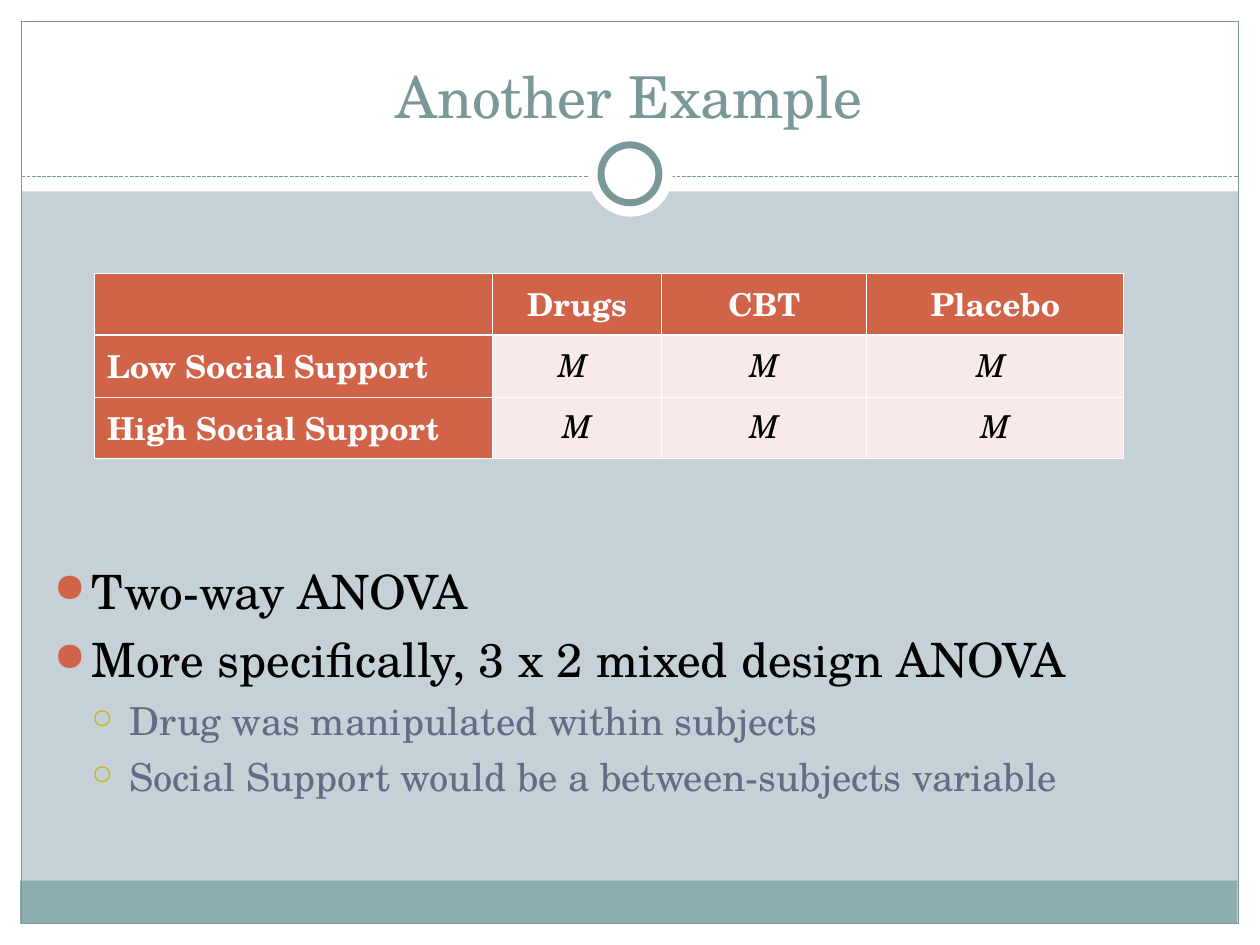
import pptx
import pptx.dml.color
import pptx.enum.dml
import pptx.enum.shapes
import pptx.enum.text
import pptx.oxml
import pptx.oxml.ns
import pptx.util
from pptx.util import Inches

FONT = "TeX Gyre Schola"
WHITE, BLACK, SLATE, TEAL = "FFFFFF", "000000", "7B9899", "8CADAE"
RUST, BLUSH, GOLD, VIOLET = "D16349", "F7EAE9", "CCB400", "646B86"
BACKDROP = "C5D1D7"
CENTER = pptx.enum.text.PP_ALIGN.CENTER
LEFT = pptx.enum.text.PP_ALIGN.LEFT
SHAPES = pptx.enum.shapes.MSO_SHAPE


def color(value):
    return pptx.dml.color.RGBColor.from_string(value)


def paint(fill, value):
    fill.solid()
    fill.fore_color.rgb = color(value)


def set_font(font, size, value, bold=False, italic=False):
    font.name = FONT
    font.size = pptx.util.Pt(size)
    font.color.rgb = color(value)
    font.bold = bold
    font.italic = italic


def append_xml(parent, tag, attributes="", children=""):
    namespace = pptx.oxml.ns.nsdecls("a")
    parent.append(pptx.oxml.parse_xml(
        f"<a:{tag} {namespace} {attributes}>{children}</a:{tag}>"))


def add_figure(slide, kind, box, fill=None, line=None, width=0.75):
    figure = slide.shapes.add_shape(kind, *map(Inches, box))
    figure.shadow.inherit = False
    if fill:
        paint(figure.fill, fill)
    else:
        figure.fill.background()
    if line:
        figure.line.color.rgb = color(line)
        figure.line.width = pptx.util.Pt(width)
    else:
        figure.line.fill.background()


def add_divider(slide, left, right, y):
    divider = slide.shapes.add_connector(
        pptx.enum.shapes.MSO_CONNECTOR.STRAIGHT,
        Inches(left), Inches(y), Inches(right), Inches(y))
    divider.line.color.rgb = color(SLATE)
    divider.line.width = pptx.util.Pt(0.75)
    divider.line.dash_style = pptx.enum.dml.MSO_LINE.SQUARE_DOT
    append_xml(divider._element.spPr, "effectLst")


def add_frame(slide):
    """Draw the white margins, footer band, outline and ring."""
    for margin in ((0, 7.33, 10, 0.17), (0, 0, 10, 1.52),
                   (0, 0, 0.17, 7.5), (9.83, 0, 0.17, 7.5)):
        add_figure(slide, SHAPES.RECTANGLE, margin, WHITE)
    add_figure(slide, SHAPES.RECTANGLE, (0.16, 6.99, 9.66, 0.34), TEAL)
    add_figure(slide, SHAPES.RECTANGLE, (0.17, 0.17, 9.66, 7.16), line=SLATE)
    add_divider(slide, 0.17, 9.83, 1.4)
    add_figure(slide, SHAPES.OVAL, (4.67, 1.05, 0.67, 0.67), WHITE)
    add_figure(slide, SHAPES.OVAL, (4.77, 1.15, 0.46, 0.46), WHITE, SLATE, 4)


def add_text_frame(slide, box):
    frame = slide.shapes.add_textbox(*map(Inches, box)).text_frame
    frame.word_wrap = True
    return frame


def add_title(slide, text):
    frame = add_text_frame(slide, (0.33, 0.25, 9.33, 0.83))
    frame.vertical_anchor = pptx.enum.text.MSO_ANCHOR.BOTTOM
    frame.text = text
    title = frame.paragraphs[0]
    title.alignment = CENTER
    set_font(title.runs[0].font, 33, SLATE)


def add_bullets(slide, points):
    """Add (level, text) points as a two-level list."""
    styles = (("●", RUST, 85, 27, BLACK, 6.8), ("○", GOLD, 70, 22, VIOLET, 5.5))
    frame = add_text_frame(slide, (0.33, 4.41, 9.3, 2.26))
    frame.text = "\n".join(text for _, text in points)
    for index, (level, _) in enumerate(points):
        mark, mark_color, mark_size, size, text_color, gap = styles[level]
        point = frame.paragraphs[index]
        point.level = level
        if index:
            point.space_before = pptx.util.Pt(gap)
        properties = point._p.get_or_add_pPr()
        properties.set("marL", str(Inches(0.3 * (level + 1))))
        properties.set("indent", str(Inches(-0.3)))
        append_xml(properties, "buClr", children=f'<a:srgbClr val="{mark_color}"/>')
        append_xml(properties, "buSzPct", f'val="{mark_size}000"')
        append_xml(properties, "buChar", f'char="{mark}"')
        set_font(point.runs[0].font, size, text_color)


def style_cell(cell, is_header, is_label):
    properties = cell._tc.get_or_add_tcPr()
    for side in "LRTB":
        width = 1.47 if is_header and side == "B" else 0.45
        append_xml(properties, f"ln{side}", f'w="{pptx.util.Pt(width)}"',
                   f'<a:solidFill><a:srgbClr val="{WHITE}"/></a:solidFill>')
    strong = is_header or is_label
    paint(cell.fill, RUST if strong else BLUSH)
    paragraph = cell.text_frame.paragraphs[0]
    paragraph.alignment = LEFT if is_label else CENTER
    set_font(paragraph.font, 18, WHITE if strong else BLACK, strong, not strong)
    for run in paragraph.runs:
        set_font(run.font, 18, WHITE if strong else BLACK, strong, not strong)


def add_design_table(slide, rows, widths, row_height):
    table = slide.shapes.add_table(
        len(rows), len(widths), Inches(0.75), Inches(2.17),
        Inches(sum(widths)), Inches(row_height * len(rows))).table
    for column, width in zip(table.columns, widths):
        column.width = Inches(width)
    for row_index, texts in enumerate(rows):
        for column_index, text in enumerate(texts):
            cell = table.cell(row_index, column_index)
            cell.text_frame.text = text
            style_cell(cell, row_index == 0, column_index == 0)


def main():
    deck = pptx.Presentation()
    deck.slide_width, deck.slide_height = Inches(10), Inches(7.5)
    slide = deck.slides.add_slide(deck.slide_layouts[6])
    paint(slide.background.fill, BACKDROP)
    add_frame(slide)
    add_title(slide, "Another Example")
    add_bullets(slide, [
        (0, "Two-way ANOVA"),
        (0, "More specifically, 3 x 2 mixed design ANOVA"),
        (1, "Drug was manipulated within subjects"),
        (1, "Social Support would be a between-subjects variable"),
    ])
    add_design_table(slide, [
        ("", "Drugs", "CBT", "Placebo"),
        ("Low Social Support", "M ", "M", "M "),
        ("High Social Support", "M", "M", "M"),
    ], (3.16, 1.34, 1.63, 2.04), 0.49)
    deck.save("out.pptx")


if __name__ == "__main__":
    main()
